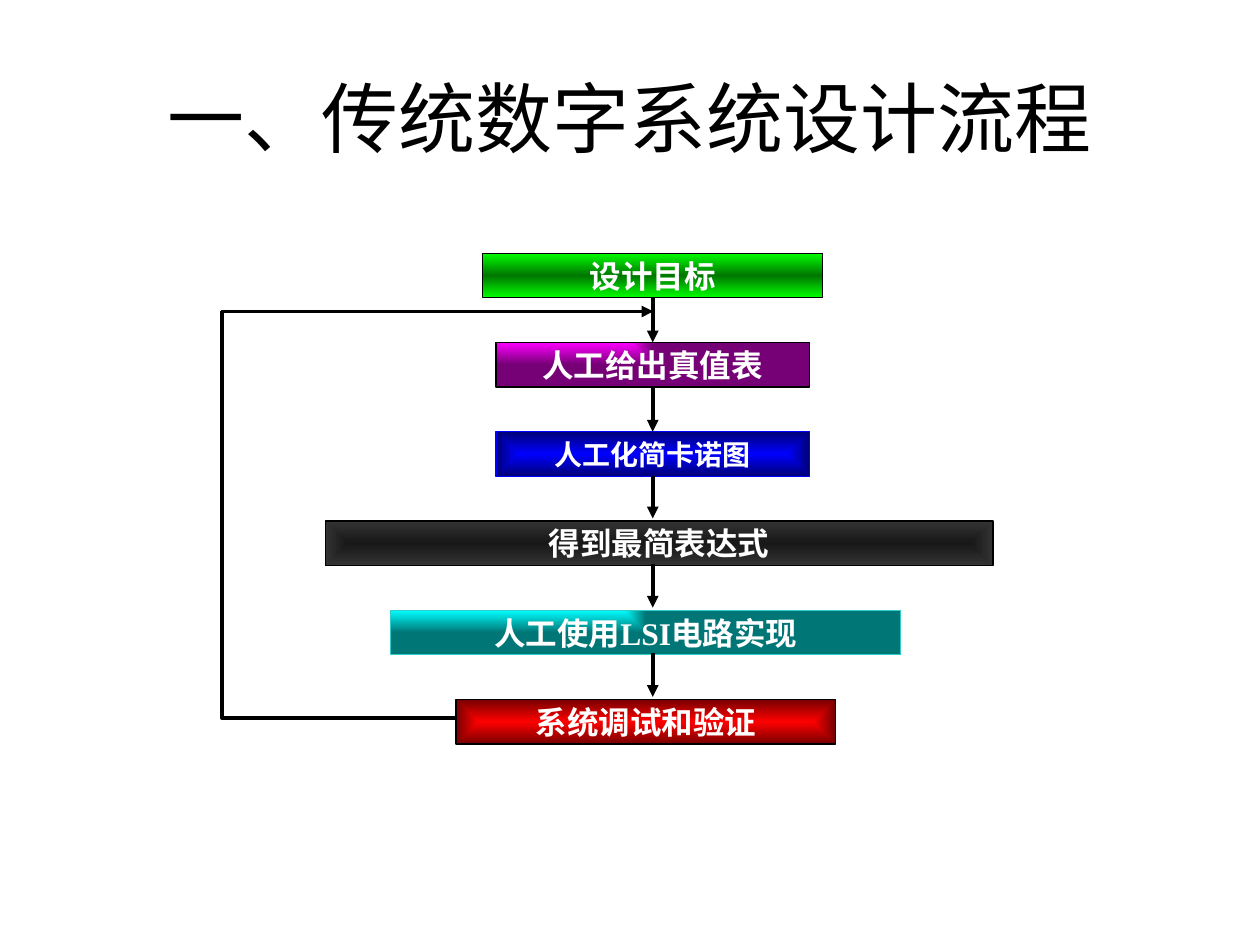
import dataclasses

import pptx
import pptx.dml.color
import pptx.enum.shapes
import pptx.enum.text
import pptx.oxml
import pptx.oxml.ns
import pptx.util

Pt = pptx.util.Pt
qn = pptx.oxml.ns.qn
LINE = pptx.enum.shapes.MSO_CONNECTOR.STRAIGHT
RECT = pptx.enum.shapes.MSO_SHAPE.RECTANGLE


@dataclasses.dataclass(frozen=True)
class Theme:
    """Hold the colours, fonts and sizes."""
    ink: str = "000000"
    pale: str = "FFFFFF"
    green: tuple = ("00FF00", "007600", "00FF00")
    pink: tuple = ("FF00FF", "760076")
    blue: tuple = ("0000FF", "000076")
    dark: tuple = ("181818", "333333")
    cyan: tuple = ("00FFFF", "007676")
    teal: str = "33CCCC"
    red: tuple = ("FF0000", "760000")
    head: str = "Calibri"
    sans: str = "Noto Sans CJK SC"
    serif: str = "Times New Roman"
    title: float = 44
    body: float = 18
    small: float = 16
    thin: float = 0.75
    thick: float = 2.25


THEME = Theme()
MIDDLE = '<a:path path="shape"><a:fillToRect l="50000" t="50000" r="50000" b="50000"/></a:path>'
CORNER = '<a:path path="rect"><a:fillToRect r="100000" b="100000"/></a:path>'
DOWN = '<a:lin ang="5400000" scaled="1"/>'
STEPS = [
    ("设计目标", 0, 194.4, THEME.green, DOWN, THEME.ink, THEME.body, THEME.sans),
    ("人工给出真值表", 0, 179.3, THEME.pink, CORNER, THEME.ink, THEME.body, THEME.sans),
    ("人工化简卡诺图", 0, 179.3, THEME.blue, MIDDLE, THEME.blue[0], THEME.small, THEME.sans),
    ("得到最简表达式", 3.7, 381.6, THEME.dark, MIDDLE, THEME.ink, THEME.body, THEME.sans),
    ("人工使用LSI电路实现", -4, 291.6, THEME.cyan, CORNER, THEME.teal, THEME.body, THEME.serif),
    ("系统调试和验证", -4, 216.7, THEME.red, MIDDLE, THEME.ink, THEME.body, THEME.sans),
]


def tint(code):
    """Return the colour of a hex code."""
    return pptx.dml.color.RGBColor.from_string(code)


def write(frame, text, size, face, code, bold=False):
    """Write one centred line in a text frame."""
    frame.word_wrap = True
    frame.vertical_anchor = pptx.enum.text.MSO_ANCHOR.MIDDLE
    para = frame.paragraphs[0]
    para.alignment = pptx.enum.text.PP_ALIGN.CENTER
    run = para.add_run()
    run.text = text
    font = run.font
    font.size, font.name, font.bold = Pt(size), face, bold
    font.color.rgb = tint(code)
    east = pptx.oxml.parse_xml(
        f'<a:ea {pptx.oxml.ns.nsdecls("a")} typeface="{THEME.sans}"/>')
    run._r.rPr.find(qn("a:latin")).addnext(east)


def blend(shape, codes, mode):
    """Fill a shape with evenly spaced gradient stops."""
    shape.fill.solid()
    last = len(codes) - 1
    stops = "".join(
        f'<a:gs pos="{100000 * i // last}"><a:srgbClr val="{code}"/></a:gs>'
        for i, code in enumerate(codes))
    grad = pptx.oxml.parse_xml(
        f'<a:gradFill {pptx.oxml.ns.nsdecls("a")} rotWithShape="1">'
        f'<a:gsLst>{stops}</a:gsLst>{mode}</a:gradFill>')
    props = shape._element.spPr
    props.replace(props.find(qn("a:solidFill")), grad)


def stroke(item, code, width):
    """Set the line colour and width."""
    item.line.color.rgb = tint(code)
    item.line.width = Pt(width)


def link(slide, x1, y1, x2, y2, arrow=True):
    """Draw a straight connector, with an arrowhead if asked."""
    item = slide.shapes.add_connector(LINE, Pt(x1), Pt(y1), Pt(x2), Pt(y2))
    stroke(item, THEME.ink, THEME.thick)
    if arrow:
        item.line._get_or_add_ln().append(pptx.oxml.parse_xml(
            f'<a:tailEnd {pptx.oxml.ns.nsdecls("a")} type="triangle"/>'))
    item._element.spPr.append(pptx.oxml.parse_xml(
        f'<a:effectLst {pptx.oxml.ns.nsdecls("a")}/>'))
    return item


def title(slide, left, top, width, height):
    """Place the slide title in its box."""
    box = slide.shapes.add_textbox(Pt(left), Pt(top), Pt(width), Pt(height))
    write(box.text_frame, "一、传统数字系统设计流程", THEME.title, THEME.head, THEME.ink)


def step(slide, left, top, width, height, text, codes, mode, edge, size, face):
    """Place one step of the flow."""
    shape = slide.shapes.add_shape(RECT, Pt(left), Pt(top), Pt(width), Pt(height))
    shape.shadow.inherit = False
    blend(shape, codes, mode)
    stroke(shape, edge, THEME.thin)
    frame = shape.text_frame
    frame.margin_left = frame.margin_right = Pt(5)
    frame.margin_top = frame.margin_bottom = Pt(2.2)
    write(frame, text, size, face, THEME.pale, True)
    return shape


def flow(slide, axis, top, pitch, tall):
    """Stack the steps about an axis and join them with arrows."""
    boxes = []
    for i, (text, shift, width, *style) in enumerate(STEPS):
        left = axis + shift - width / 2
        boxes.append(step(slide, left, top + i * pitch, width, tall, text, *style))
    for i in range(len(STEPS) - 1):
        start = top + i * pitch + tall
        item = link(slide, axis, start - 1, axis, start + pitch - tall - 1.5)
        if STEPS[i][1] == 0:
            item.begin_connect(boxes[i], 2)
        if STEPS[i + 1][1] == 0:
            item.end_connect(boxes[i + 1], 0)


def loop(slide, left, top, width, height, foot, bend):
    """Draw the way back from the last step to the first arrow."""
    base = top + height
    link(slide, left, base - bend, left, top, False)
    link(slide, left - 0.7, top, left + width, top)
    pen = slide.shapes.build_freeform(Pt(left + foot), Pt(base))
    pen.add_line_segments(
        [(Pt(left), Pt(base)), (Pt(left), Pt(base - bend))], close=False)
    shape = pen.convert_to_shape()
    shape.shadow.inherit = False
    shape.fill.background()
    stroke(shape, THEME.ink, THEME.thick)


def main():
    """Build and save the slide."""
    deck = pptx.Presentation()
    deck.slide_width, deck.slide_height = Pt(720), Pt(540)
    slide = deck.slides.add_slide(deck.slide_layouts[6])
    title(slide, 36, 21.6, 648, 90)
    flow(slide, 373, 144.7, 51, 25.5)
    loop(slide, 126.7, 178, 246.6, 232.3, 134.5, 48.2)
    deck.save("out.pptx")


if __name__ == "__main__":
    main()
